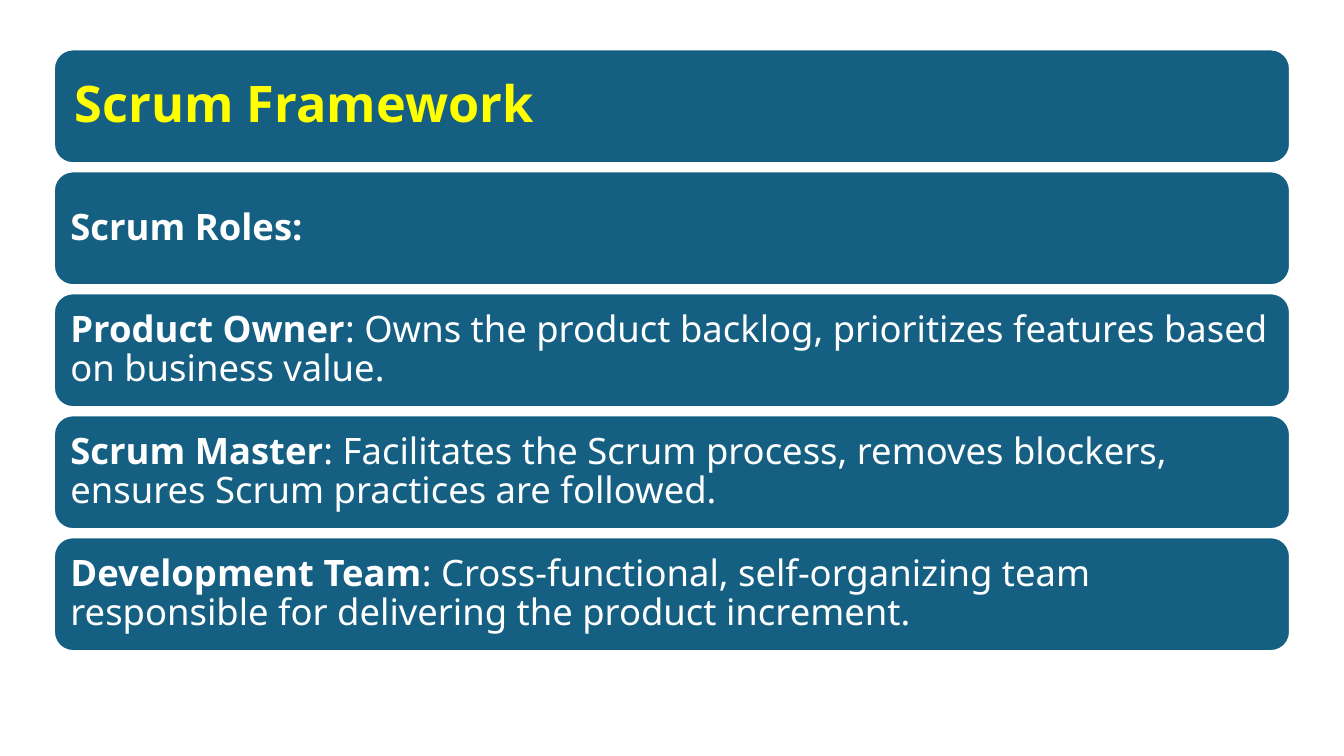
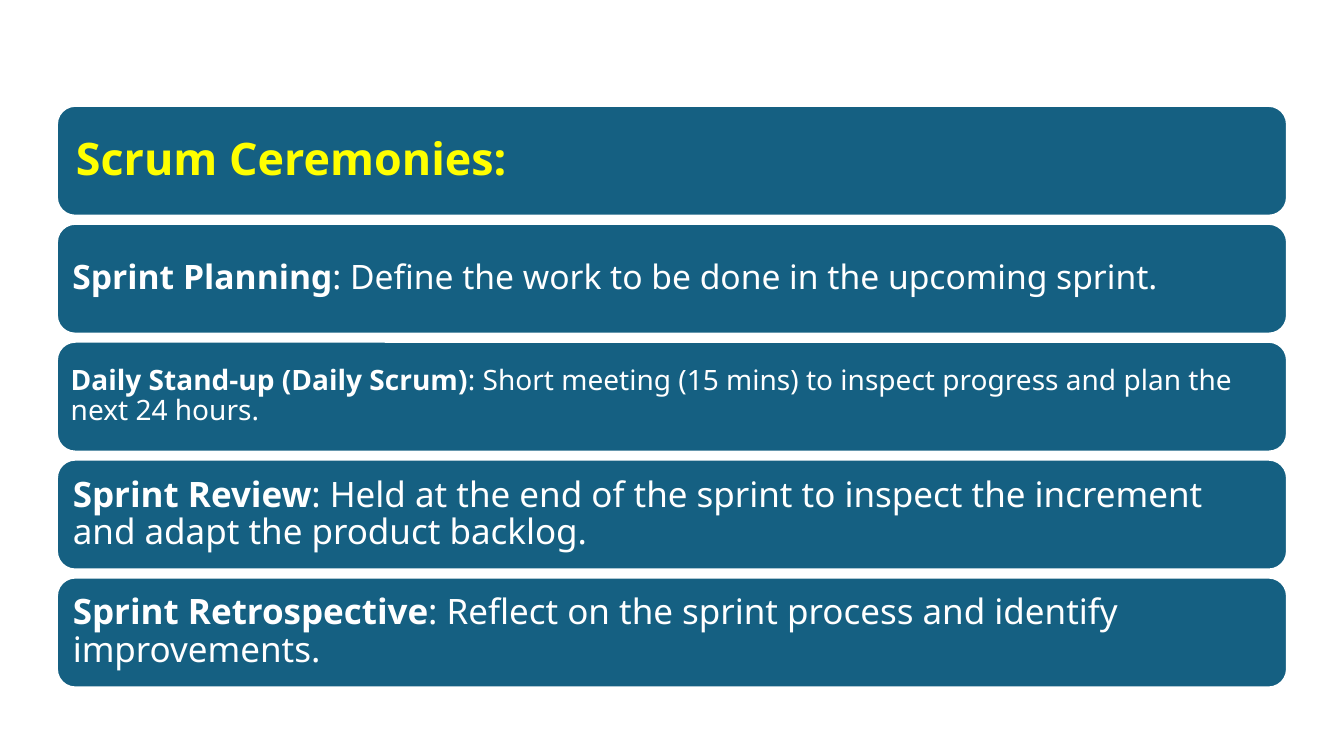
from dataclasses import dataclass

from pptx import Presentation
from pptx.dml.color import RGBColor
from pptx.enum.shapes import MSO_SHAPE
from pptx.enum.text import MSO_ANCHOR, MSO_AUTO_SIZE, PP_ALIGN
from pptx.presentation import Presentation as Deck
from pptx.shapes.autoshape import Shape
from pptx.slide import Slide
from pptx.text.text import TextFrame
from pptx.util import Inches, Pt

FONT = "Noto Sans"
BLUE, WHITE, YELLOW = "156082", "FFFFFF", "FFFF00"
SLIDE_W, SLIDE_H = 13.33, 7.5
GAP = 0.08
CORNER_INSET = 0.055
TITLE_ONLY = 5


@dataclass(frozen=True)
class Item:
    term: str
    detail: str
    size: int


@dataclass(frozen=True)
class BandSlide:
    title: str
    title_size: int
    top: float
    band_w: float
    band_h: float
    items: tuple[Item, ...]

    @property
    def left(self) -> float:
        return (SLIDE_W - self.band_w) / 2


SLIDES = (
    BandSlide("Scrum Framework", 36, 0.49, 12.26, 1.13, (
        Item("Scrum Roles:", "", 26),
        Item("Product Owner",
             ": Owns the product backlog, prioritizes features based on business value.", 26),
        Item("Scrum Master",
             ": Facilitates the Scrum process, removes blockers, "
             "ensures Scrum practices are followed.", 26),
        Item("Development Team",
             ": Cross-functional, self-organizing team responsible for "
             "delivering the product increment.", 26),
    )),
    BandSlide("Scrum Ceremonies:", 32, 1.05, 12.2, 1.09, (
        Item("Sprint Planning", ": Define the work to be done in the upcoming sprint.", 24),
        Item("Daily Stand-up (Daily Scrum)",
             ": Short meeting (15 mins) to inspect progress and plan the next 24 hours.", 20),
        Item("Sprint Review",
             ": Held at the end of the sprint to inspect the increment "
             "and adapt the product backlog.", 25),
        Item("Sprint Retrospective",
             ": Reflect on the sprint process and identify improvements.", 25),
    )),
)


def rgb(value: str) -> RGBColor:
    return RGBColor.from_string(value)


def add_band(slide: Slide, spec_: BandSlide, row: int) -> Shape:
    top = spec_.top + row * (spec_.band_h + GAP)
    sp = slide.shapes.add_shape(MSO_SHAPE.ROUNDED_RECTANGLE, Inches(spec_.left), Inches(top),
                                Inches(spec_.band_w), Inches(spec_.band_h))
    sp.shadow.inherit = False
    sp.fill.solid()
    sp.fill.fore_color.rgb = rgb(BLUE)
    sp.line.color.rgb = rgb(WHITE)
    sp.line.width = Pt(1.5)
    return sp


def write(tf: TextFrame, term: str, detail: str, size: int, color: str) -> None:
    """Write a bold term and its plain detail, with margins in step with the text size."""
    tf.word_wrap = True
    tf.auto_size = MSO_AUTO_SIZE.NONE
    tf.vertical_anchor = MSO_ANCHOR.MIDDLE
    tf.margin_left = tf.margin_right = tf.margin_top = tf.margin_bottom = Pt(0.3 * size)
    p = tf.paragraphs[0]
    p.alignment = PP_ALIGN.LEFT
    p.line_spacing = 0.9
    p.font.name = FONT
    p.font.size = Pt(size)
    p.font.color.rgb = rgb(color)
    for text, bold in ((term, True), (detail, False)):
        if text:
            r = p.add_run()
            r.text = text
            r.font.bold = bold


def add_title(slide: Slide, content: BandSlide) -> None:
    add_band(slide, content, 0)
    title = slide.shapes.title
    title.left = Inches(content.left + CORNER_INSET)
    title.top = Inches(content.top + CORNER_INSET)
    title.width = Inches(content.band_w - 2 * CORNER_INSET)
    title.height = Inches(content.band_h - 2 * CORNER_INSET)
    write(title.text_frame, content.title, "", content.title_size, YELLOW)
    # Appending moves the title in front of its band.
    title.element.getparent().append(title.element)


def add_band_slide(prs: Deck, content: BandSlide) -> None:
    slide = prs.slides.add_slide(prs.slide_layouts[TITLE_ONLY])
    add_title(slide, content)
    for row, item in enumerate(content.items, start=1):
        sp = add_band(slide, content, row)
        write(sp.text_frame, item.term, item.detail, item.size, WHITE)


def main() -> None:
    prs = Presentation()
    prs.slide_width, prs.slide_height = Inches(SLIDE_W), Inches(SLIDE_H)
    for content in SLIDES:
        add_band_slide(prs, content)
    prs.save("out.pptx")


if __name__ == "__main__":
    main()
